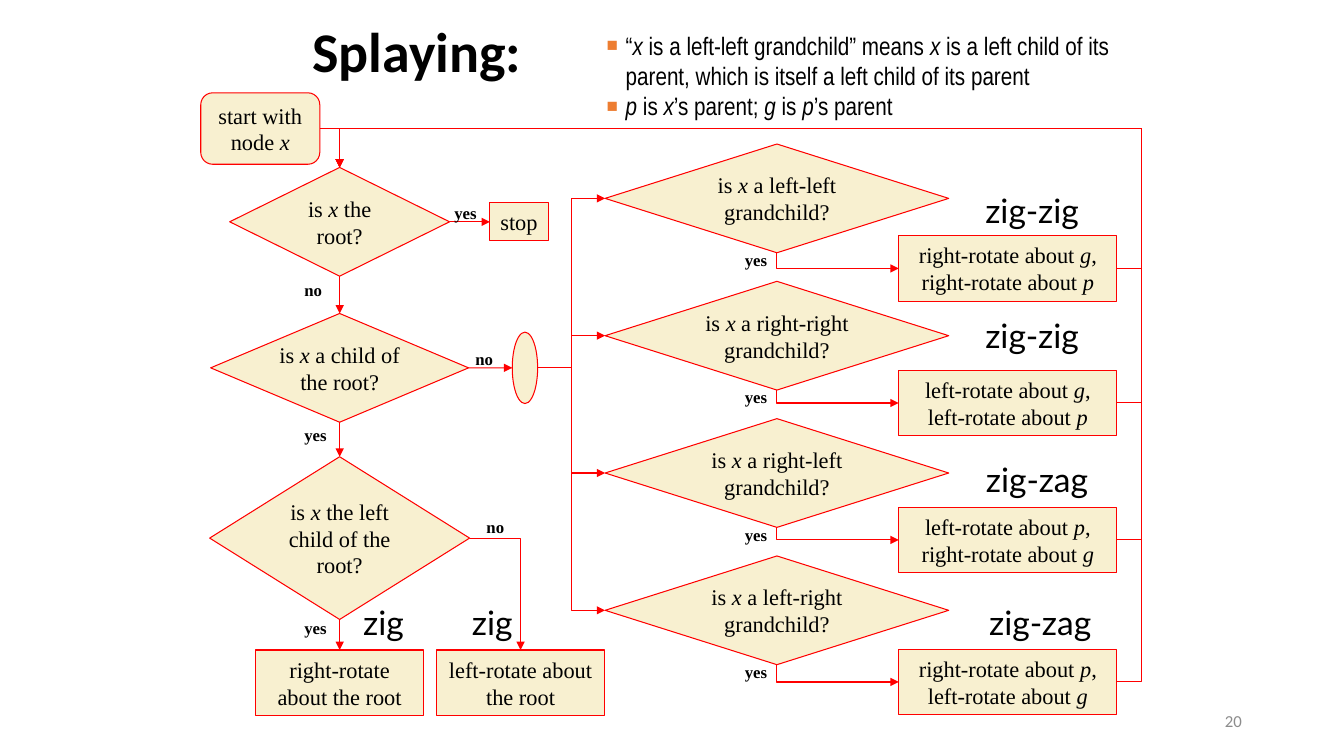
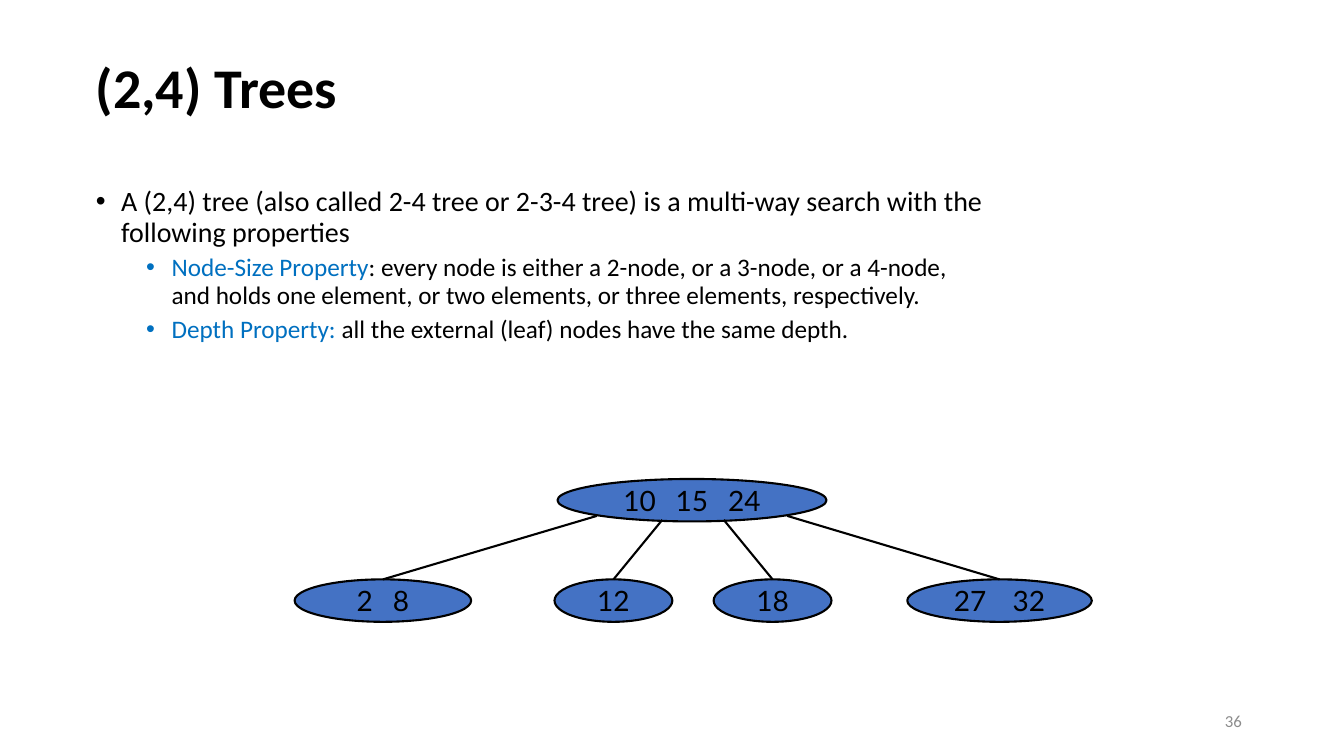
from lxml import etree
from pptx import Presentation
from pptx.dml.color import RGBColor
from pptx.enum.shapes import MSO_CONNECTOR, MSO_SHAPE
from pptx.enum.text import MSO_ANCHOR, PP_ALIGN
from pptx.oxml.ns import qn
from pptx.util import Cm, Pt

STRAIGHT, ELBOW = MSO_CONNECTOR.STRAIGHT, MSO_CONNECTOR.ELBOW
ASK = MSO_SHAPE.FLOWCHART_DECISION
STEP = MSO_SHAPE.FLOWCHART_PROCESS
START = MSO_SHAPE.FLOWCHART_ALTERNATE_PROCESS
DOT = MSO_SHAPE.FLOWCHART_CONNECTOR
OVAL, RECT = MSO_SHAPE.OVAL, MSO_SHAPE.RECTANGLE
LEFT, CENTER, RIGHT = PP_ALIGN.LEFT, PP_ALIGN.CENTER, PP_ALIGN.RIGHT
TOP, MIDDLE = MSO_ANCHOR.TOP, MSO_ANCHOR.MIDDLE
NORTH, WEST, SOUTH, EAST = range(4)

COLORS = {
    "text": "000000", "page": "FFFFFF", "cream": "F8F0D0", "red": "FF0000",
    "orange": "ED7D31", "blue": "4472C4", "term": "0070C0", "gray": "8C8C8C",
}
SANS, SERIF, SLIM, TAG = "Calibri", "Times New Roman", "Arial Narrow", "Lato"
AXIS = 8.56
BACK_X, BACK_Y = 28.78, 3.24


def paint(name):
    return RGBColor.from_string(COLORS[name])


def write(para, text, size, font, color="text", bold=False, accent=None):
    for i, part in enumerate(text.split("*")):
        if not part:
            continue
        run = para.add_run()
        run.text = part
        marked = i % 2 == 1
        style = run.font
        style.size, style.name, style.bold = Pt(size), font, bold
        style.italic = marked and accent is None
        style.color.rgb = paint(accent if marked and accent else color)


def bullet(para, mark, color, indent, hang, percent=100):
    props = para._p.get_or_add_pPr()
    props.set("marL", str(Cm(indent)))
    props.set("indent", str(-Cm(hang)))
    tint = etree.SubElement(props, qn("a:buClr"))
    etree.SubElement(tint, qn("a:srgbClr"), val=COLORS[color])
    etree.SubElement(props, qn("a:buSzPct"), val=str(percent * 1000))
    etree.SubElement(props, qn("a:buFont"), typeface="Arial")
    etree.SubElement(props, qn("a:buChar"), char=mark)


def place(shape, left, top, width, height):
    shape.left, shape.top = Cm(left), Cm(top)
    shape.width, shape.height = Cm(width), Cm(height)


def title(slide, text, *box):
    shape = slide.shapes.title
    place(shape, *box)
    shape.text_frame.vertical_anchor = MIDDLE
    para = shape.text_frame.paragraphs[0]
    para.alignment, para.line_spacing = LEFT, 0.9
    write(para, text, 40, SANS, bold=True)


def label(slide, text, left, top, width, height, size, font,
          align=LEFT, anchor=TOP, color="text", bold=False):
    box = slide.shapes.add_textbox(Cm(left), Cm(top), Cm(width), Cm(height))
    frame = box.text_frame
    frame.word_wrap, frame.vertical_anchor = False, anchor
    frame.paragraphs[0].alignment = align
    write(frame.paragraphs[0], text, size, font, color, bold)


def answer(slide, text, left, top):
    label(slide, text, left, top, 1.07 if text == "yes" else 0.97, 0.76,
          12, SERIF, bold=True)


def case(slide, text, left, top, width):
    label(slide, text, left, top, width, 1.27, 24, TAG, CENTER, MIDDLE)


def number(slide, text):
    label(slide, text, 23.93, 17.65, 7.62, 1.02, 12, SANS, RIGHT, MIDDLE, "gray")


def form(slide, kind, mid, top, width, height, fill, edge=None, weight=0.75):
    shape = slide.shapes.add_shape(
        kind, Cm(mid - width / 2), Cm(top), Cm(width), Cm(height))
    shape.shadow.inherit = False
    shape.fill.solid()
    shape.fill.fore_color.rgb = paint(fill)
    if edge:
        shape.line.color.rgb = paint(edge)
        shape.line.width = Pt(weight)
    else:
        shape.line.fill.background()
    return shape


def node(slide, kind, text, mid, top, width, height):
    shape = form(slide, kind, mid, top, width, height, "cream", "red")
    frame = shape.text_frame
    frame.word_wrap, frame.vertical_anchor = True, MIDDLE
    if kind == ASK:
        frame.margin_left = frame.margin_right = 0
        frame.margin_top = frame.margin_bottom = 0
    frame.paragraphs[0].alignment = CENTER
    write(frame.paragraphs[0], text, 16, SERIF)
    return shape


def stroke(line, color, weight, arrow=False):
    line.line.color.rgb = paint(color)
    line.line.width = Pt(weight)
    props = line._element.spPr
    if arrow:
        etree.SubElement(props.find(qn("a:ln")), qn("a:tailEnd"), type="triangle")
    etree.SubElement(props, qn("a:effectLst"))


def link(slide, start, out, end, into, bends=0, ratios=()):
    line = slide.shapes.add_connector(ELBOW if bends else STRAIGHT, 0, 0, 0, 0)
    line.begin_connect(start, out)
    line.end_connect(end, into)
    for shape, side, tag in ((start, out, "stCxn"), (end, into, "endCxn")):
        if shape.auto_shape_type == DOT:
            line._element.xpath(f".//a:{tag}")[0].set("idx", str(side * 2))
    if bends:
        geom = line._element.spPr.find(qn("a:prstGeom"))
        geom.set("prst", f"bentConnector{bends + 1}")
        guides = geom.find(qn("a:avLst"))
        for i, ratio in enumerate(ratios, 1):
            etree.SubElement(guides, qn("a:gd"), name=f"adj{i}",
                             fmla=f"val {round(ratio * 100000)}")
    if bends == 1 and out == SOUTH:
        turn(line)
    stroke(line, "red", 0.75, True)


def turn(line):
    wide, high = line.width, line.height
    line.left += (wide - high) // 2
    line.top += (high - wide) // 2
    line.width, line.height = high, wide
    frame = line._element.spPr.find(qn("a:xfrm"))
    frame.set("rot", "16200000")
    frame.set("flipH", "1")


def loop(slide, step, root):
    right = step.left + step.width
    low = step.top + step.height // 2
    wide, high = right - Cm(AXIS), low - root.top
    ratios = ((right - Cm(BACK_X)) / wide, (low - Cm(BACK_Y)) / high)
    link(slide, step, EAST, root, NORTH, 3, ratios)


def notes(slide):
    shape = form(slide, RECT, 21.9, 0.64, 13.72, 2.54, "page")
    frame = shape.text_frame
    frame.word_wrap, frame.vertical_anchor = True, TOP
    lines = (
        "“*x* is a left-left grandchild” means *x* is a left child of its "
        "parent, which is itself a left child of its parent",
        "*p* is *x*’s parent; *g* is *p*’s parent",
    )
    for i, text in enumerate(lines):
        para = frame.add_paragraph() if i else frame.paragraphs[0]
        para.alignment = LEFT
        bullet(para, "■", "orange", 0.48, 0.48, 75)
        write(para, text, 18, SLIM)


def splay(deck):
    slide = deck.slides.add_slide(deck.slide_layouts[5])
    title(slide, "Splaying:", 7.62, 0.43, 6.98, 1.9)
    notes(slide)

    start = node(slide, START, "start with node *x*", 6.56, 2.34, 3, 1.8)
    root = node(slide, ASK, "is *x* the root?", AXIS, 4.22, 5.54, 2.74)
    stop = node(slide, STEP, "stop", 13.08, 5.11, 1.47, 0.96)
    stop.text_frame.word_wrap = False
    child = node(slide, ASK, "is *x* a child of the root?", AXIS, 7.9, 6.5, 2.74)
    side = node(slide, ASK, "is *x* the left child of the root?",
                AXIS, 11.51, 6.55, 4.1)
    right = node(slide, STEP, "right-rotate about the root", AXIS, 16.38, 4.24, 1.65)
    left = node(slide, STEP, "left-rotate about the root", 13.12, 16.38, 4.24, 1.65)
    dot = form(slide, DOT, 13.23, 8.37, 0.64, 1.8, "cream", "red")

    link(slide, start, EAST, root, NORTH, 1)
    link(slide, root, EAST, stop, WEST)
    link(slide, root, SOUTH, child, NORTH)
    link(slide, child, SOUTH, side, NORTH)
    link(slide, side, SOUTH, right, NORTH)
    link(slide, side, EAST, left, NORTH, 1)
    link(slide, child, EAST, dot, WEST)

    cases = (
        ("left-left", "right", "g", "right", "p", 5.94, "zig-zig", 24.56, 4.65, 2.9),
        ("right-right", "left", "g", "left", "p", 9.33, "zig-zig", 24.56, 7.82, 2.9),
        ("right-left", "left", "p", "right", "g", 12.78, "zig-zag", 24.56, 11.43, 3.15),
        ("left-right", "right", "p", "left", "g", 16.36, "zig-zag", 24.64, 15.04, 3.15),
    )
    for i, (kin, one, first, two, last, top, name, *spot) in enumerate(cases):
        high = 3.63 + 3.46 * i
        ask = node(slide, ASK, f"is *x* a {kin} grandchild?", 19.58, high, 8.66, 2.74)
        step = node(slide, STEP,
                    f"{one}-rotate about *{first}*, {two}-rotate about *{last}*",
                    25.4, top, 5.5, 1.65)
        link(slide, dot, EAST, ask, WEST, 2)
        link(slide, ask, SOUTH, step, WEST, 1)
        loop(slide, step, root)
        answer(slide, "yes", 18.52, high + 2.54)
        case(slide, name, *spot)

    for text, x, y in (("no", 7.42, 6.93), ("yes", 7.42, 10.59),
                       ("yes", 7.42, 15.44), ("no", 12.01, 12.9),
                       ("no", 11.73, 8.66), ("yes", 11.2, 4.98)):
        answer(slide, text, x, y)
    for x in (8.89, 11.63):
        case(slide, "zig", x, 15.04, 1.55)
    number(slide, "20")


def keys(slide, text, mid, top, width, gap=9):
    shape = form(slide, OVAL, mid, top, width, 1.07, "blue", "text", 1.5)
    frame = shape.text_frame
    frame.word_wrap, frame.vertical_anchor = False, MIDDLE
    para = frame.paragraphs[0]
    para.alignment = CENTER
    for i, key in enumerate(text.split()):
        if i:
            write(para, " ", 20, TAG)
            para.runs[-1].font._element.set("spc", str(round(gap * 100)))
        write(para, key, 20, TAG)
    return shape


def trees(deck):
    slide = deck.slides.add_slide(deck.slide_layouts[1])
    title(slide, "(2,4) Trees", 2.16, 0.69, 21.64, 3.18)
    body = slide.placeholders[1]
    place(body, 2.16, 4.6, 23.04, 5.51)
    lines = (
        (0, "A (2,4) tree (also called 2-4 tree or 2-3-4 tree) is a multi-way "
            "search with the following properties"),
        (1, "*Node-Size Property*: every node is either a 2-node, or a 3-node, "
            "or a 4-node, and holds one element, or two elements, or three "
            "elements, respectively."),
        (1, "*Depth Property: *all the external (leaf) nodes have the same depth."),
    )
    for i, (level, text) in enumerate(lines):
        para = body.text_frame.add_paragraph() if i else body.text_frame.paragraphs[0]
        para.level, para.line_spacing = level, 0.9
        para.space_before = Pt(5 if i else 0)
        bullet(para, "•", "term" if level else "text", 0.64 + 1.27 * level, 0.64)
        write(para, text, 18 if level else 20, SANS, accent="term")

    keys(slide, "10 15 24", 17.44, 12.07, 6.78)
    for text, mid, width, gap, x, y in (
            ("2 8", 9.65, 4.45, 9, 15.04, 13),
            ("12", 15.46, 2.97, 9, 16.69, 13.1),
            ("18", 19.47, 2.97, 9, 18.24, 13.1),
            ("27 32", 25.19, 4.65, 13.5, 19.84, 13)):
        leaf = keys(slide, text, mid, 14.6, width, gap)
        edge = slide.shapes.add_connector(STRAIGHT, Cm(x), Cm(y), Cm(mid), Cm(14.6))
        edge.end_connect(leaf, NORTH)
        stroke(edge, "text", 1.5)
    number(slide, "36")


def main():
    deck = Presentation()
    deck.slide_width, deck.slide_height = Cm(33.87), Cm(19.05)
    splay(deck)
    trees(deck)
    deck.save("out.pptx")


if __name__ == "__main__":
    main()
